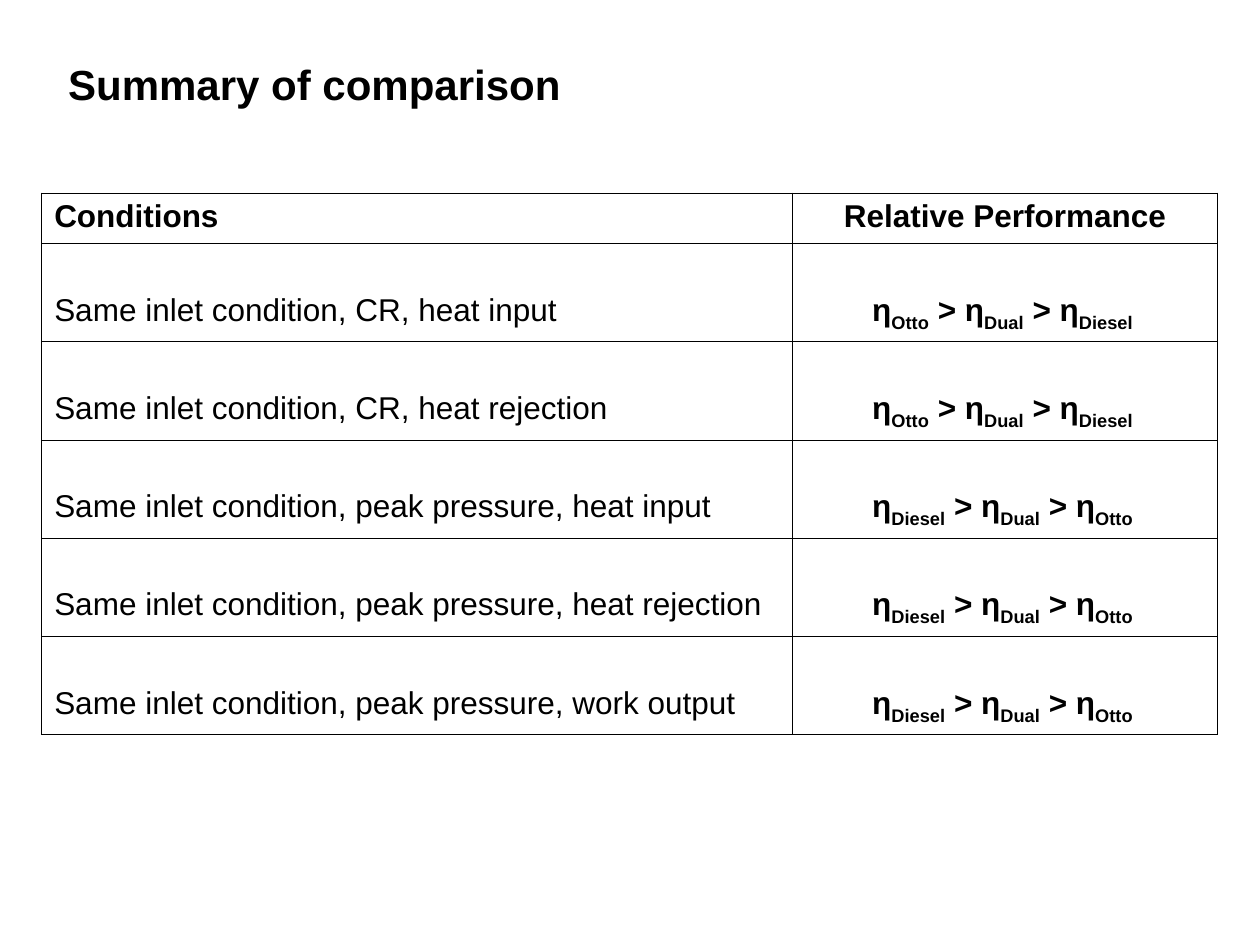
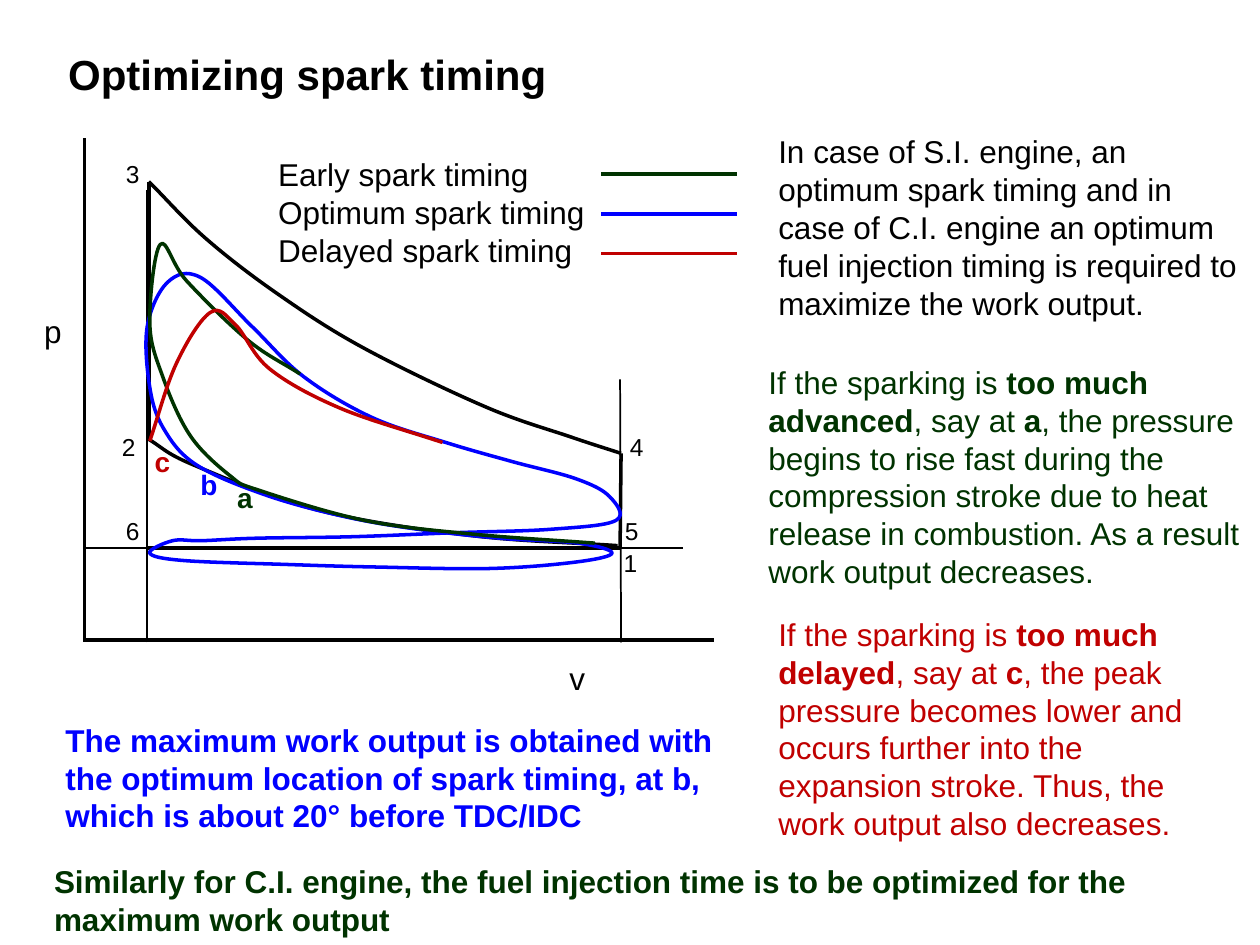
from dataclasses import dataclass

from lxml import etree
from pptx import Presentation
from pptx.dml.color import RGBColor
from pptx.enum.shapes import MSO_CONNECTOR
from pptx.enum.text import MSO_ANCHOR, MSO_AUTO_SIZE, PP_ALIGN
from pptx.oxml.ns import qn
from pptx.util import Cm, Pt


@dataclass(frozen=True)
class Theme:
    """Colours, font and type sizes shared by the slides."""

    font: str = "Arial"
    black: str = "000000"
    early: str = "003300"
    optimum: str = "0000FF"
    delayed: str = "C00000"
    title: int = 24
    body: int = 18
    mark: int = 16
    state: int = 14
    thin: float = 1
    thick: float = 2
    border: float = 0.45


THEME = Theme()
TITLE_ONLY = 5

CONDITIONS = [
    ("Same inlet condition, CR, heat input", ("Otto", "Dual", "Diesel ")),
    ("Same inlet condition, CR, heat rejection", ("Otto", "Dual", "Diesel ")),
    ("Same inlet condition, peak pressure, heat input", ("Diesel", "Dual", "Otto ")),
    ("Same inlet condition, peak pressure, heat rejection", ("Diesel", "Dual", "Otto ")),
    ("Same inlet condition, peak pressure, work output", ("Diesel", "Dual", "Otto ")),
]

COMPRESSION = [(12.45, 11), (9.53, 10.8), (6.43, 10.29), (3.89, 9.37), (2.97, 8.84)]
EXPANSION = [(3, 3.66), (4.14, 4.8), (5.59, 5.92), (7.32, 7.01), (9.78, 8.2),
             (11.51, 8.81), (12.52, 9.14)]
OPTIMUM = [(11.66, 10.95), (10.08, 10.85), (8.43, 10.67), (6.93, 10.41), (5.36, 9.98),
           (3.96, 9.37), (3.3, 8.64), (3.02, 7.8), (2.97, 6.58), (3.38, 5.69),
           (4.04, 5.59), (5.08, 6.58), (6.12, 7.59), (7.49, 8.41), (8.99, 8.92),
           (10.31, 9.3), (11.61, 9.65), (12.29, 10.01), (12.42, 10.49), (11.1, 10.67),
           (9.12, 10.74), (7.09, 10.82), (5.16, 10.85), (4.06, 10.9), (3.48, 10.9),
           (3.02, 11.15), (3.71, 11.3), (5.82, 11.38), (7.57, 11.43), (9.88, 11.46),
           (11.61, 11.33), (12.34, 11.15)]
EARLY = [(11.99, 10.95), (9.55, 10.77), (7.34, 10.49), (5.21, 9.88), (4.65, 9.6),
         (3.84, 8.79), (3.28, 7.59), (3.02, 6.5), (3.23, 4.93), (3.76, 5.66),
         (5, 6.86), (6.05, 7.54)]
DELAYED = [(3.02, 8.89), (3.56, 7.32), (4.24, 6.3), (4.75, 6.55), (5.44, 7.44),
           (6.86, 8.23), (8.92, 8.92)]

AXES = [((1.7, 2.79), (1.7, 12.95)), ((1.7, 12.9), (14.4, 12.9))]
GUIDES = [((1.7, 11.05), (13.77, 11.05)), ((2.97, 12.95), (2.97, 3.84)),
          ((12.52, 12.95), (12.5, 7.65))]
IDEAL_STROKES = [((3, 8.86), (3, 3.66)), ((12.52, 9.14), (12.5, 11.05)),
                 ((12.5, 11.05), (2.97, 11.05))]
STATES = {"4": (12.7, 8.71), "1": (12.57, 11.05), "2": (2.46, 8.71),
          "3": (2.54, 3.2), "5": (12.6, 10.41), "6": (2.54, 10.41)}
AXIS_NAMES = {"p": (0.64, 6.17), "v": (11.23, 13.16)}
SPARK_MARKS = [("a", (4.78, 9.68), THEME.early), ("b", (4.04, 9.42), THEME.optimum),
               ("c", (3.12, 8.97), THEME.delayed)]
TIMINGS = [("Early spark timing", THEME.early), ("Optimum spark timing", THEME.optimum),
           ("Delayed spark timing", THEME.delayed)]

NOTES = [
    ("In case of S.I. engine, an optimum spark timing and in case of C.I. engine an "
     "optimum fuel injection timing is required to maximize the work output.",
     (15.44, 2.54, 9.88, 4.06), THEME.black),
    ("If the sparking is *too much advanced*, say at *a*, the pressure begins to rise "
     "fast during the compression stroke due to heat release in combustion. As a result "
     "work output decreases.", (15.24, 7.19, 10.16, 4.83), THEME.early),
    ("If the sparking is *too much delayed*, say at *c*, the peak pressure becomes lower "
     "and occurs further into the expansion stroke. Thus, the work output also decreases.",
     (15.44, 12.27, 8.89, 4.83), THEME.delayed),
    ("*The maximum work output is obtained with the optimum location of spark timing, "
     "at b, which is about 20° before TDC/IDC*", (1.07, 14.4, 13.69, 2.54), THEME.optimum),
    ("*Similarly for C.I. engine, the fuel injection time is to be optimized for the "
     "maximum work output*", (0.84, 17.25, 23.7, 1.78), THEME.early),
]


def apply_format(target, formats):
    """Set each named attribute of the target."""
    for name, value in formats.items():
        setattr(target, name, value)


def write_run(paragraph, text, size=THEME.body, color=THEME.black, bold=False, baseline=0):
    """Append one formatted run to a paragraph."""
    run = paragraph.add_run()
    run.text = text
    apply_format(run.font, {"name": THEME.font, "size": Pt(size), "bold": bold})
    run.font.color.rgb = RGBColor.from_string(color)
    if baseline:
        run.font._element.set("baseline", str(baseline * 1000))


def write_marked(paragraph, text, **style):
    """Write text in which asterisks enclose the bold parts."""
    for index, part in enumerate(text.split("*")):
        if part:
            write_run(paragraph, part, bold=index % 2 == 1, **style)


def add_text(slide, lines, box, wrap=True, insets=(0.25, 0.13, 0.25, 0.13), **style):
    """Add a text box with one paragraph per line."""
    frame = slide.shapes.add_textbox(*map(Cm, box)).text_frame
    sides = ("margin_left", "margin_top", "margin_right", "margin_bottom")
    apply_format(frame, dict(zip(sides, map(Cm, insets))))
    apply_format(frame, {"word_wrap": wrap, "auto_size": MSO_AUTO_SIZE.SHAPE_TO_FIT_TEXT})
    for index, line in enumerate(lines):
        paragraph = frame.add_paragraph() if index else frame.paragraphs[0]
        write_marked(paragraph, line, **style)


def add_titled_slide(deck, title, top):
    """Add a slide with a left-aligned title."""
    slide = deck.slides.add_slide(deck.slide_layouts[TITLE_ONLY])
    heading = slide.shapes.title
    apply_format(heading, {"left": Cm(1.12), "top": Cm(top),
                           "width": Cm(14), "height": Cm(1.27)})
    apply_format(heading.text_frame, {"word_wrap": True, "vertical_anchor": MSO_ANCHOR.TOP,
                                      "auto_size": MSO_AUTO_SIZE.NONE})
    paragraph = heading.text_frame.paragraphs[0]
    paragraph.alignment = PP_ALIGN.LEFT
    write_run(paragraph, title, size=THEME.title, bold=True)
    return slide


def style_line(line, color, weight):
    """Give a line its colour and weight."""
    line.color.rgb = RGBColor.from_string(color)
    line.width = Pt(weight)


def add_line(slide, start, end, color=THEME.black, weight=THEME.thick):
    """Draw a straight line without shadow."""
    line = slide.shapes.add_connector(MSO_CONNECTOR.STRAIGHT, *map(Cm, start + end))
    style_line(line.line, color, weight)
    etree.SubElement(line._element.spPr, qn("a:effectLst"))


def smooth_points(knots, closed):
    """Return the control and end points of a smooth curve through the knots."""
    def extend(end, inner):
        return tuple(2 * e - i for e, i in zip(end, inner))

    if closed:
        chain = [knots[-1], *knots, *knots[:2]]
    else:
        chain = [extend(knots[0], knots[1]), *knots, extend(knots[-1], knots[-2])]
    points = []
    for before, start, end, after in zip(chain, chain[1:], chain[2:], chain[3:]):
        points.append(tuple(s + (e - b) / 6 for b, s, e in zip(before, start, end)))
        points.append(tuple(e - (a - s) / 6 for s, e, a in zip(start, end, after)))
        points.append(end)
    return points


def add_curve(slide, knots, color=THEME.black, closed=False):
    """Draw a smooth unfilled curve through the knots."""
    builder = slide.shapes.build_freeform(*map(Cm, knots[0]))
    points = smooth_points(knots, closed)
    builder.add_line_segments([(Cm(x), Cm(y)) for x, y in points], close=False)
    curve = builder.convert_to_shape()
    segments = list(curve._element.iter(qn("a:lnTo")))
    outline = segments[0].getparent()
    for index in range(0, len(segments), 3):
        bezier = etree.SubElement(outline, qn("a:cubicBezTo"))
        for segment in segments[index:index + 3]:
            bezier.append(segment[0])
            outline.remove(segment)
    curve.shadow.inherit = False
    curve.fill.background()
    style_line(curve.line, color, THEME.thick)


def frame_cell(cell):
    """Give a cell thin borders and no fill."""
    properties = cell._tc.get_or_add_tcPr()
    for side in ("lnL", "lnR", "lnT", "lnB"):
        border = etree.SubElement(properties, qn(f"a:{side}"), w=str(Pt(THEME.border)))
        fill = etree.SubElement(border, qn("a:solidFill"))
        etree.SubElement(fill, qn("a:srgbClr"), val=THEME.black)
    cell.fill.background()


def write_ranking(paragraph, cycles):
    """Write efficiencies in falling order with the cycles as subscripts."""
    for index, cycle in enumerate(cycles):
        write_run(paragraph, " > η" if index else "η", bold=True)
        write_run(paragraph, cycle, bold=True, baseline=-25)


def add_comparison_table(slide):
    """Add the table of conditions and relative performance."""
    widths, header_height, row_height = (15.14, 8.56), 1.02, 1.98
    height = header_height + row_height * len(CONDITIONS)
    table = slide.shapes.add_table(len(CONDITIONS) + 1, 2, Cm(0.84), Cm(3.89),
                                   Cm(sum(widths)), Cm(height)).table
    apply_format(table, {"first_row": False, "horz_banding": False})
    for column, width in zip(table.columns, widths):
        column.width = Cm(width)
    for index, row in enumerate(table.rows):
        row.height = Cm(row_height if index else header_height)
        for cell in row.cells:
            frame_cell(cell)
            if index:
                cell.vertical_anchor = MSO_ANCHOR.MIDDLE
                apply_format(cell.text_frame.paragraphs[0],
                             {"line_spacing": 2.0, "space_after": Pt(6)})
        condition, performance = (cell.text_frame.paragraphs[0] for cell in row.cells)
        performance.alignment = PP_ALIGN.CENTER
        if index:
            text, cycles = CONDITIONS[index - 1]
            write_run(condition, text)
            write_ranking(performance, cycles)
        else:
            write_run(condition, "Conditions", bold=True)
            write_run(performance, "Relative Performance", bold=True)


def add_cycle_diagram(slide):
    """Draw the p-v diagram with the ideal and the three real cycles."""
    for start, end in AXES + IDEAL_STROKES:
        add_line(slide, start, end)
    for start, end in GUIDES:
        add_line(slide, start, end, weight=THEME.thin)
    add_curve(slide, COMPRESSION)
    add_curve(slide, EXPANSION)
    add_curve(slide, OPTIMUM, THEME.optimum, closed=True)
    add_curve(slide, EARLY, THEME.early)
    add_curve(slide, DELAYED, THEME.delayed)
    for state, place in STATES.items():
        add_text(slide, [state], place + (0.41, 0.58), wrap=False,
                 insets=(0, 0, 0.13, 0), size=THEME.state)
    for name, place in AXIS_NAMES.items():
        add_text(slide, [name], place + (0.84, 1.02), wrap=False)
    for mark, place, color in SPARK_MARKS:
        add_text(slide, [f"*{mark}*"], place + (0.32, 0.69), wrap=False,
                 insets=(0, 0, 0, 0), size=THEME.mark, color=color)


def add_legend(slide):
    """List the spark timings, each with a line in its colour."""
    add_text(slide, [name for name, _ in TIMINGS], (5.36, 3, 6.76, 2.54))
    for index, (_, color) in enumerate(TIMINGS):
        level = 3.51 + 0.8 * index
        add_line(slide, (12.12, level), (14.86, level), color)


def main():
    """Build and save the two slides."""
    deck = Presentation()
    apply_format(deck, {"slide_width": Cm(25.4), "slide_height": Cm(19.05)})
    add_comparison_table(add_titled_slide(deck, "Summary of comparison", 1.05))
    timing = add_titled_slide(deck, "Optimizing spark timing", 0.85)
    add_cycle_diagram(timing)
    add_legend(timing)
    for text, box, color in NOTES:
        add_text(timing, [text], box, color=color)
    deck.save("out.pptx")


if __name__ == "__main__":
    main()
